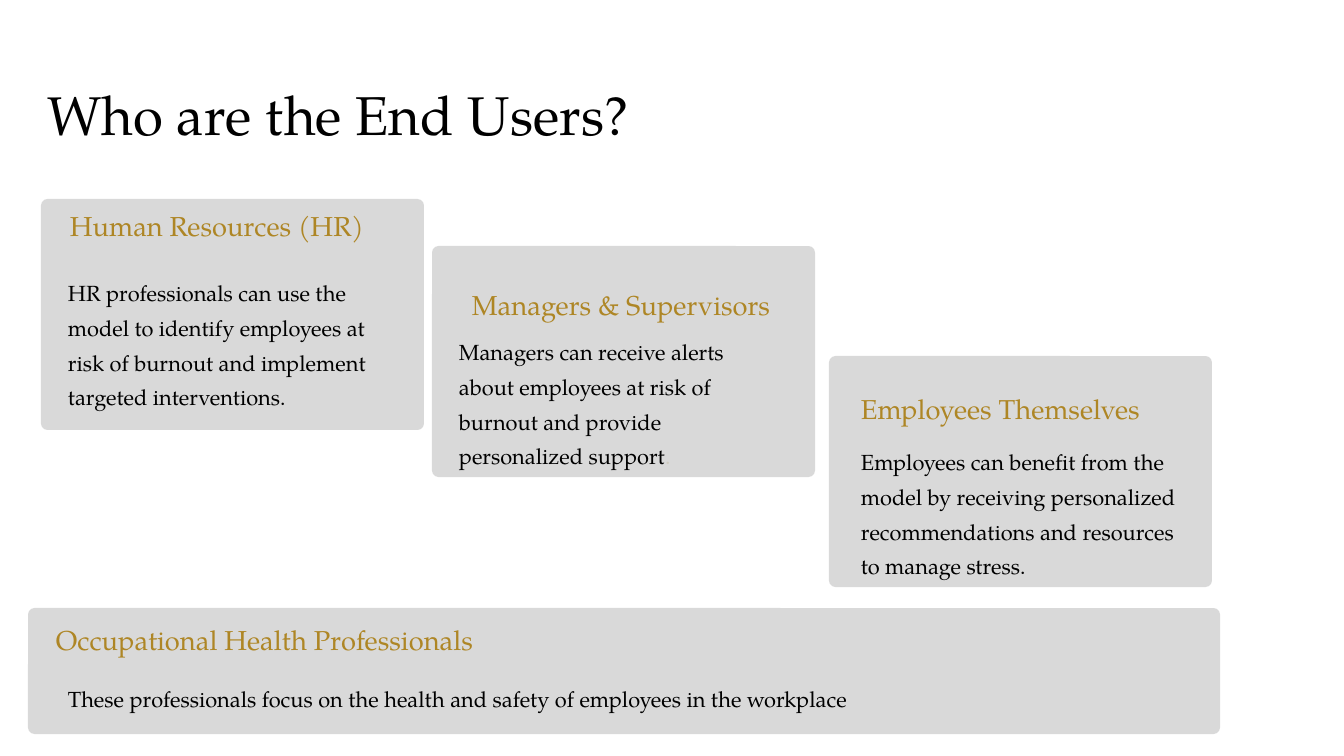
from pptx import Presentation
from pptx.dml.color import RGBColor
from pptx.enum.shapes import MSO_SHAPE
from pptx.enum.text import MSO_ANCHOR, MSO_AUTO_SIZE, PP_ALIGN
from pptx.util import Emu, Pt

EMU_PER_PX = 914400 / 100.8
SLIDE_SIZE = (1344, 756)
CORNER_DIAMETER = 13
CARD_SIZE = (383, 231)
BODY_SIZE = (340, 140)
HEADING_HEIGHT = 34


def px(length):
    return Emu(round(length * EMU_PER_PX))


def color(value):
    return RGBColor.from_string(value)


class SlideBuilder:
    FONT = "TeX Gyre Pagella"
    CARD_FILL = "D9D9D9"
    STYLES = {
        "title": {"size": 39, "spacing": 48.8, "color": "000000"},
        "heading": {"size": 19.5, "spacing": 24.4, "color": "AE8625"},
        "body": {"size": 15.6, "spacing": 24.9, "color": "000000"},
    }

    def __init__(self, slide):
        self.slide = slide

    def fill_text(self, shape, runs, style_name, wrap):
        """Fill a shape with one paragraph; runs are (text, colour or None) pairs."""
        style = self.STYLES[style_name]
        frame = shape.text_frame
        frame_format = {
            "word_wrap": wrap,
            "auto_size": MSO_AUTO_SIZE.NONE,
            "vertical_anchor": MSO_ANCHOR.TOP,
        }
        for name, value in frame_format.items():
            setattr(frame, name, value)
        paragraph = frame.paragraphs[0]
        paragraph_format = {
            "alignment": PP_ALIGN.LEFT,
            "line_spacing": Pt(style["spacing"]),
            "space_before": Pt(0),
            "space_after": Pt(0),
        }
        for name, value in paragraph_format.items():
            setattr(paragraph, name, value)
        for text, run_color in runs:
            run = paragraph.add_run()
            run.text = text
            font_format = {"name": self.FONT, "size": Pt(style["size"]), "bold": False}
            for name, value in font_format.items():
                setattr(run.font, name, value)
            run.font.color.rgb = color(run_color or style["color"])

    def title(self, text, left, top, width, height):
        shape = self.slide.shapes.title
        bounds = {"left": left, "top": top, "width": width, "height": height}
        for name, value in bounds.items():
            setattr(shape, name, px(value))
        self.fill_text(shape, [(text, None)], "title", False)

    def card(self, left, top, width, height):
        shape = self.slide.shapes.add_shape(
            MSO_SHAPE.ROUNDED_RECTANGLE, px(left), px(top), px(width), px(height)
        )
        shape.adjustments[0] = CORNER_DIAMETER / 2 / height
        shape.shadow.inherit = False
        shape.fill.solid()
        shape.fill.fore_color.rgb = color(self.CARD_FILL)
        shape.line.fill.background()

    def text(self, runs, style_name, left, top, width, height, wrap=False):
        shape = self.slide.shapes.add_textbox(px(left), px(top), px(width), px(height))
        self.fill_text(shape, runs, style_name, wrap)


# Each user: card place, heading, heading place and width, body runs, body place
USERS = [
    ((41, 199), "Human Resources (HR)", (60, 203, 311),
     [("HR professionals can use the model to identify employees at risk of "
       "burnout and implement targeted interventions.", None)], (58, 266)),
    ((432, 246), "Managers & Supervisors", (462, 282, 324),
     [("Managers can receive alerts about employees at risk of burnout and "
       "provide personalized support", None), (".", "CFCBBF")], (449, 325)),
    ((829, 356), "Employees Themselves", (851, 386, 306),
     [("Employees can benefit from the model by receiving personalized "
       "recommendations and resources to manage stress.", None)], (851, 435)),
]


def main():
    presentation = Presentation()
    presentation.slide_width, presentation.slide_height = map(px, SLIDE_SIZE)
    title_only = presentation.slide_layouts[5]
    builder = SlideBuilder(presentation.slides.add_slide(title_only))

    builder.title("Who are the End Users?", 37, 73, 635, 69)
    for card_place, heading, heading_place, body, body_place in USERS:
        builder.card(*card_place, *CARD_SIZE)
        builder.text([(heading, None)], "heading", *heading_place, HEADING_HEIGHT)
        builder.text(body, "body", *body_place, *BODY_SIZE, wrap=True)

    builder.card(28, 608, 1192, 126)
    builder.text([("Occupational Health Professionals", None)], "heading",
                 46, 617, 455, HEADING_HEIGHT)
    builder.text([("These professionals focus on the health and safety of "
                   "employees in the workplace", None)], "body", 58, 672, 1149, 35)

    presentation.save("out.pptx")


if __name__ == "__main__":
    main()
